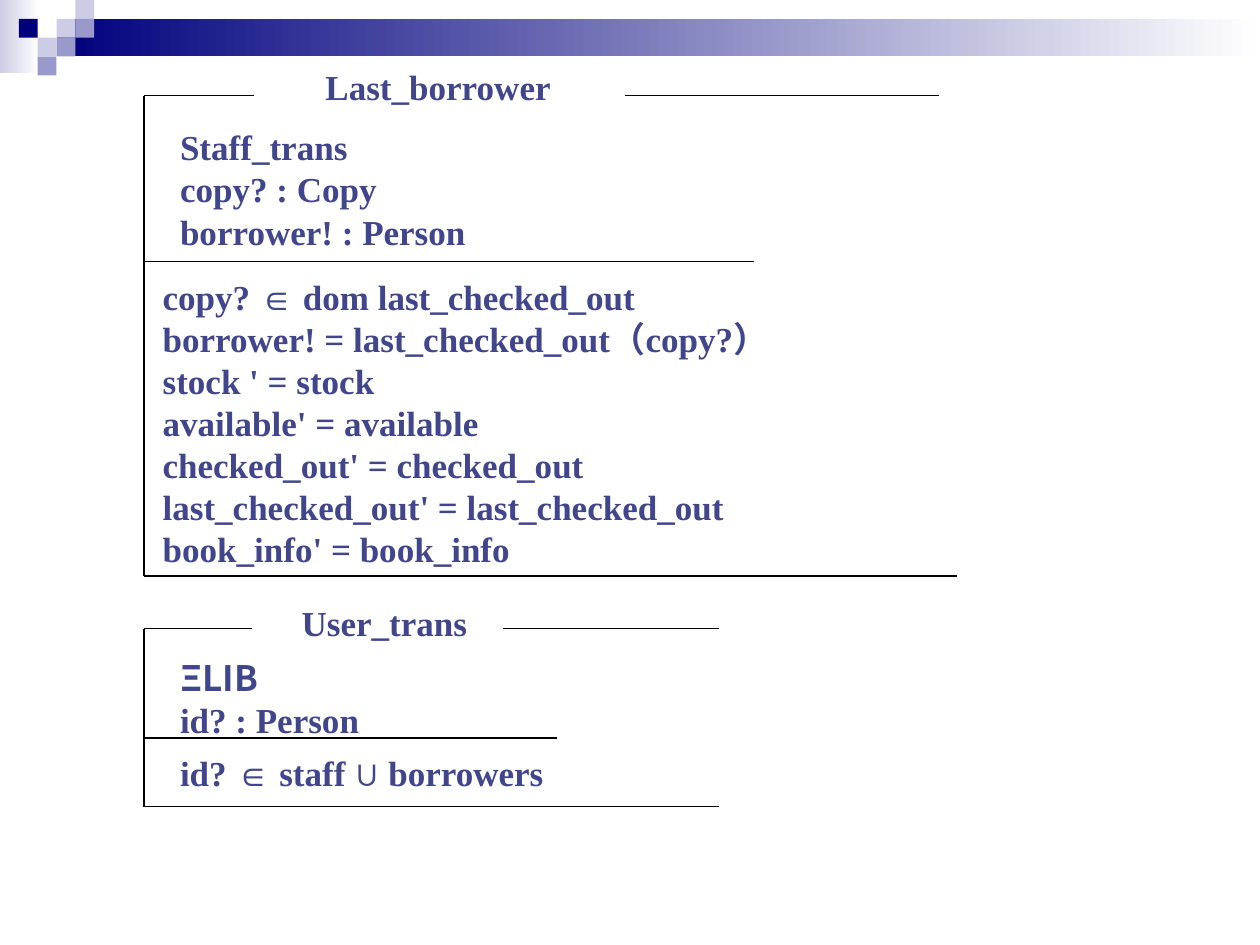
from itertools import groupby

from pptx import Presentation
from pptx import util as u
from pptx.dml.color import RGBColor
from pptx.enum import shapes, text
from pptx.oxml.ns import qn
from lxml import etree

NAVY = RGBColor(0x00, 0x00, 0x7D)
MID = RGBColor(0x99, 0x99, 0xCC)
PALE = RGBColor(0xCC, 0xCC, 0xE6)
WHITE = RGBColor(0xFF, 0xFF, 0xFF)
BLACK = RGBColor(0x00, 0x00, 0x00)
INK = RGBColor(0x40, 0x45, 0x8C)
SERIF, SANS, CJK = "Times New Roman", "Arial", "Noto Sans CJK SC"
MATH = "∈∪"
CELL = 0.38
LEFT = 2.9

BANDS = [
    ((0, 0, 0.79, 1.47), PALE),
    ((1.14, 0.38, 24.26, 0.76), NAVY),
]
TILES = [
    (3, 1, PALE), (4, 0, PALE), (4, 1, MID), (2, 2, PALE),
    (1, 1, NAVY), (3, 2, MID), (2, 3, MID),
]
SCHEMAS = [
    {
        "top": 1.93, "mid": 5.27, "low": 11.61,
        "gap": (5.13, 12.6), "ends": (18.92, 15.19, 19.3),
        "name": ("Last_borrower ", (5.23, 1.32, 7.37, 1.83)),
        "parts": [
            ((3.63, 2.54, 8.56, 2.72),
             ["Staff_trans", "copy? : Copy", "borrower! : Person "]),
            ((3.28, 5.56, 14.91, 6.35),
             ["copy? ∈ dom last_checked_out",
              "borrower! = last_checked_out（copy?）",
              "stock ' = stock",
              "available' = available",
              "checked_out' = checked_out",
              "last_checked_out' = last_checked_out",
              "book_info' = book_info "]),
        ],
    },
    {
        "top": 12.67, "mid": 14.88, "low": 16.26,
        "gap": (5.08, 10.13), "ends": (14.5, 11.23, 14.5),
        "name": ("User_trans ", (5.16, 12.12, 5.36, 1.09)),
        "parts": [
            ((3.63, 13.23, 5.44, 1.09), ["ΞLIB", "id? : Person "]),
            ((3.63, 15.14, 10.16, 1.37), ["id? ∈ staff ∪ borrowers "]),
        ],
    },
]

deck = Presentation()
deck.slide_width, deck.slide_height = u.Cm(25.4), u.Cm(19.05)
slide = deck.slides.add_slide(deck.slide_layouts[6])


def cms(vals):
    return [u.Cm(v) for v in vals]


def block(box, tone, fade=False):
    rect = slide.shapes.add_shape(shapes.MSO_SHAPE.RECTANGLE, *cms(box))
    rect.shadow.inherit = False
    rect.line.fill.background()
    if fade:
        rect.fill.gradient()
        rect.fill.gradient_angle = 0
        for stop, hue in zip(rect.fill.gradient_stops, (tone, WHITE)):
            stop.color.rgb = hue
    else:
        rect.fill.solid()
        rect.fill.fore_color.rgb = tone


def rule(*ends):
    line = slide.shapes.add_connector(shapes.MSO_CONNECTOR.STRAIGHT, *cms(ends))
    line.line.color.rgb = BLACK
    line.line.width = u.Pt(0.74)
    etree.SubElement(line._element.spPr, qn("a:effectLst"))


def write(box, lines, align=text.PP_ALIGN.JUSTIFY, space=(0, 0)):
    frame = slide.shapes.add_textbox(*cms(box)).text_frame
    frame.word_wrap = True
    frame.margin_left = frame.margin_right = 0
    frame.margin_top = frame.margin_bottom = 0
    for i, words in enumerate(lines):
        para = frame.paragraphs[0] if i == 0 else frame.add_paragraph()
        para.alignment = align
        para.space_before, para.space_after = map(u.Pt, space)
        font = para.font
        font.size, font.bold = u.Pt(20), True
        font.color.rgb = INK
        font.name = CJK if words.startswith("Ξ") else SERIF
        for sign, chars in groupby(words, lambda c: c in MATH):
            run = para.add_run()
            run.text = "".join(chars)
            if sign:
                run.font.name = SANS


for box, tone in BANDS:
    block(box, tone, fade=True)
for col, row, tone in TILES:
    block((col * CELL, row * CELL, CELL, CELL), tone)

for item in SCHEMAS:
    top, mid, low = item["top"], item["mid"], item["low"]
    start, stop = item["gap"]
    far, half, base = item["ends"]
    rule(LEFT, top, LEFT, low)
    rule(LEFT, top, start, top)
    rule(stop, top, far, top)
    rule(LEFT, mid, half, mid)
    rule(LEFT, low, base, low)
    name, box = item["name"]
    write(box, [name], text.PP_ALIGN.CENTER, (6, 3))
    for box, lines in item["parts"]:
        write(box, lines)

deck.save("out.pptx")
